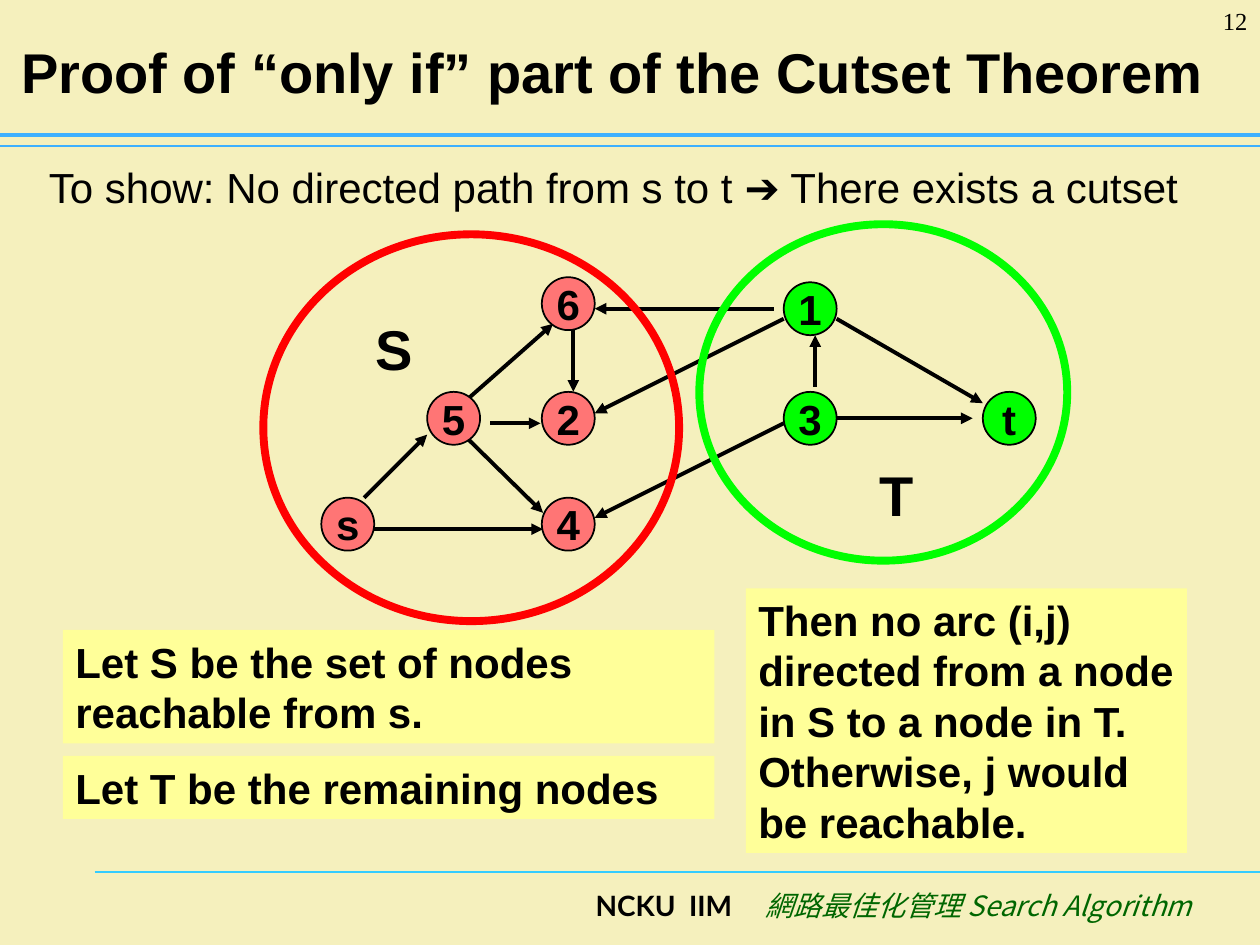
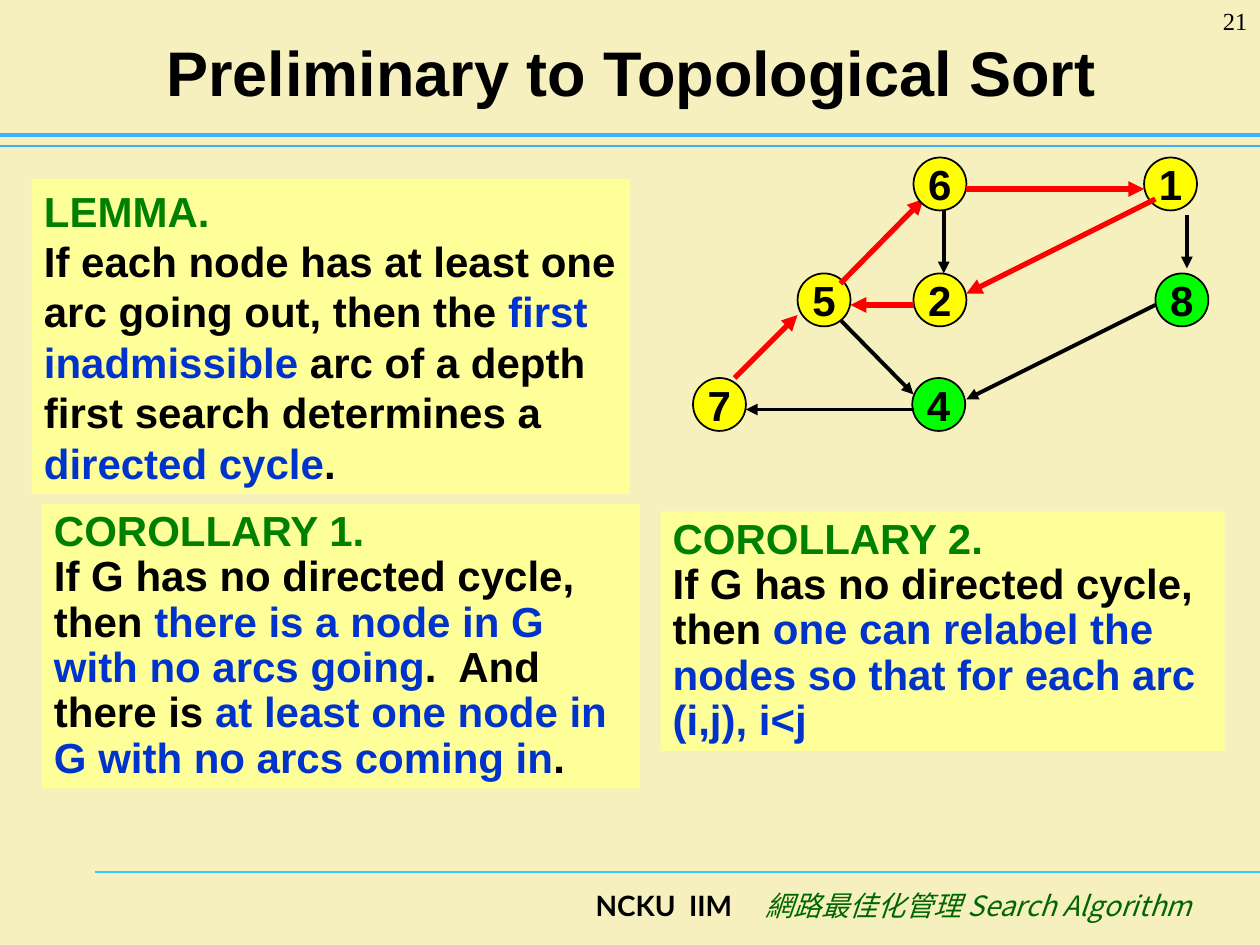
from lxml import etree
from pptx import Presentation
from pptx import util as u
from pptx.dml import color as dml
from pptx.enum import shapes, text
from pptx.oxml import ns

PX = 9144
NODE = 42
BLACK, GREEN, RED, YELLOW, PINK = "000000", "00FF00", "FF0000", "FFFF00", "FF7575"
PANEL, HEADING, KEYWORD, RULE = "FFFF99", "008000", "0033CC", "3DB0FF"
LEFT, CENTER, RIGHT = text.PP_ALIGN.LEFT, text.PP_ALIGN.CENTER, text.PP_ALIGN.RIGHT


def emu(*lengths):
    return [u.Emu(length * PX) for length in lengths]


def rgb(code):
    return dml.RGBColor.from_string(code)


def child(parent, tag, **attributes):
    return etree.SubElement(parent, ns.qn(tag), **attributes)


def write(frame, content, size=24, font="Arial", color=BLACK, bold=True, align=LEFT,
          anchor=text.MSO_ANCHOR.TOP, wrap=True, spacing=None, tabs=()):
    frame.word_wrap = wrap
    frame.auto_size = text.MSO_AUTO_SIZE.NONE
    frame.vertical_anchor = anchor
    frame.margin_left = frame.margin_right = u.Inches(0.1)
    frame.margin_top = frame.margin_bottom = u.Inches(0.05)
    paragraph = frame.paragraphs[0]
    paragraph.alignment = align
    paragraph.line_spacing = spacing
    if tabs:
        stops = child(paragraph._p.get_or_add_pPr(), "a:tabLst")
        for stop in tabs:
            child(stops, "a:tab", pos=str(stop * PX), algn="l")
    pieces = [(content, {})] if isinstance(content, str) else content
    for words, changes in pieces:
        style = {"font": font, "color": color, "bold": bold, "italic": False, **changes}
        run = paragraph.add_run()
        run.text = words.rstrip("\n")
        run.font.size = u.Pt(size)
        run.font.name = style["font"]
        run.font.bold = style["bold"]
        run.font.italic = style["italic"]
        run.font.color.rgb = rgb(style["color"])
        child(run._r.get_or_add_rPr(), "a:ea", typeface=style["font"])
        if words.endswith("\n"):
            paragraph.add_line_break()


class Deck:
    def __init__(self):
        self.prs = Presentation()
        self.prs.slide_width, self.prs.slide_height = emu(1000, 750)
        backdrop = self.prs.slide_master.background.fill
        backdrop.solid()
        backdrop.fore_color.rgb = rgb("F5F0BD")
        self.slide = None

    def start(self, title, number, left, width, size):
        self.slide = self.prs.slides.add_slide(self.prs.slide_layouts[5])
        self.line((75, 692), (1000, 692), "33CCFF", 0.75)
        self.line((0, 116), (1000, 116), RULE, 0.75)
        self.line((0, 107), (1000, 107), RULE, 2.5)
        self.label((183, 700, 800, 50), [
            ("\tNCKU  IIM\t", {}),
            ("網路最佳化管理 Search Algorithm",
             {"font": "Noto Sans CJK SC", "color": "006600", "bold": False, "italic": True}),
        ], size=16, font="Lato", tabs=(280, 415))
        heading = self.slide.shapes.title
        heading.left, heading.top, heading.width, heading.height = emu(left, 13, width, 87)
        write(heading.text_frame, title, size=size, align=CENTER,
              anchor=text.MSO_ANCHOR.MIDDLE)
        self.label((917, 0, 83, 50), str(number), size=14,
                   font="Times New Roman", bold=False, align=RIGHT)

    def label(self, box, content, **style):
        area = self.slide.shapes.add_textbox(*emu(*box))
        write(area.text_frame, content, **style)

    def line(self, begin, end, color=BLACK, width=2.25, arrow=False):
        stroke = self.slide.shapes.add_connector(
            shapes.MSO_CONNECTOR.STRAIGHT, *emu(*begin, *end))
        stroke.line.color.rgb = rgb(color)
        stroke.line.width = u.Pt(width)
        if arrow:
            child(stroke.line._get_or_add_ln(), "a:tailEnd", type="triangle")
        child(stroke._element.spPr, "a:effectLst")

    def arc(self, x1, y1, x2, y2, color=BLACK, width=2.25):
        self.line((x1, y1), (x2, y2), color, width, arrow=True)

    def shape(self, preset, box, fill=None, outline=None, width=1):
        figure = self.slide.shapes.add_shape(preset, *emu(*box))
        figure.shadow.inherit = False
        if fill:
            figure.fill.solid()
            figure.fill.fore_color.rgb = rgb(fill)
        else:
            figure.fill.background()
        if outline:
            figure.line.color.rgb = rgb(outline)
            figure.line.width = u.Pt(width)
        else:
            figure.line.fill.background()
        return figure

    def node(self, name, x, y, fill):
        circle = self.shape(shapes.MSO_SHAPE.OVAL, (x, y, NODE, NODE), fill, BLACK)
        write(circle.text_frame, name, align=CENTER,
              anchor=text.MSO_ANCHOR.MIDDLE, wrap=False)

    def ring(self, box, color):
        self.shape(shapes.MSO_SHAPE.OVAL, box, outline=color, width=4.5)

    def panel(self, box, content, **style):
        card = self.shape(shapes.MSO_SHAPE.RECTANGLE, box, PANEL)
        write(card.text_frame, content, **style)


def cutset_proof(deck):
    deck.start("Proof of “only if” part of the Cutset Theorem", 12, 0, 973, 32)
    for name, x, y in [("1", 622, 224), ("t", 780, 311), ("3", 622, 311)]:
        deck.node(name, x, y, GREEN)
    for ends in [
        (289, 395, 339, 345), (297, 420, 431, 420), (372, 349, 431, 407),
        (372, 316, 439, 257), (455, 261, 455, 311), (622, 336, 472, 411),
        (622, 253, 472, 328), (614, 245, 472, 245), (664, 253, 780, 320),
        (664, 332, 772, 332), (647, 307, 647, 266), (389, 336, 429, 336),
    ]:
        deck.arc(*ends)
    for name, x, y in [("s", 255, 395), ("5", 339, 311), ("4", 430, 395),
                       ("2", 430, 311), ("6", 430, 220)]:
        deck.node(name, x, y, PINK)
    deck.ring((209, 186, 330, 307), RED)
    deck.label((288, 245, 67, 64), "S", size=32)
    deck.panel((50, 500, 517, 90), "Let S be the set of nodes reachable from s.")
    deck.panel((50, 600, 517, 50), "Let T be the remaining nodes")
    deck.ring((555, 178, 292, 267), GREEN)
    deck.label((688, 361, 67, 64), "T", size=32)
    deck.panel((592, 467, 350, 210),
               "Then no arc (i,j) directed from a node in S to a node in T. "
               "Otherwise, j would be reachable.")
    deck.label((29, 123, 926, 50),
               "To show: No directed path from s to t ➔ There exists a cutset", bold=False)


def topological_sort(deck):
    heading, keyword = {"color": HEADING}, {"color": KEYWORD}
    deck.start("Preliminary to Topological Sort", 21, 51, 900, 36)
    deck.panel((25, 142, 475, 250), [
        ("LEMMA.\n", heading),
        ("If each node has at least one arc going out, then the ", {}),
        ("first inadmissible", keyword),
        (" arc of a depth first search determines a ", {}),
        ("directed cycle", keyword),
        (".", {}),
    ])
    deck.panel((33, 400, 475, 226), [
        ("COROLLARY 1.\n", heading),
        ("If G has no directed cycle, then ", {}),
        ("there is a node in G with no arcs going", keyword),
        (".  And there is ", {}),
        ("at least one node in G with no arcs coming in", keyword),
        (".", {}),
    ], spacing=0.9)
    deck.panel((524, 406, 448, 190), [
        ("COROLLARY 2.\n", heading),
        ("If G has no directed cycle, then ", {}),
        ("one can relabel the nodes so that for each arc (i,j), i<j", keyword),
    ], spacing=0.9)
    for name, x, y in [("4", 724, 300), ("8", 917, 217)]:
        deck.node(name, x, y, GREEN)
    for ends in [(725, 325, 592, 325), (667, 254, 725, 313), (749, 167, 749, 217),
                 (917, 242, 767, 317), (942, 171, 942, 213)]:
        deck.arc(*ends)
    for name, x, y, search_arc in [
        ("7", 550, 300, (583, 300, 633, 250)),
        ("5", 633, 217, (667, 225, 733, 158)),
        ("6", 725, 125, (767, 150, 908, 150)),
        ("1", 908, 125, (917, 158, 767, 233)),
        ("2", 725, 217, (725, 242, 675, 242)),
    ]:
        deck.node(name, x, y, YELLOW)
        deck.arc(*search_arc, color=RED, width=3)


def main():
    deck = Deck()
    cutset_proof(deck)
    topological_sort(deck)
    deck.prs.save("out.pptx")


if __name__ == "__main__":
    main()
